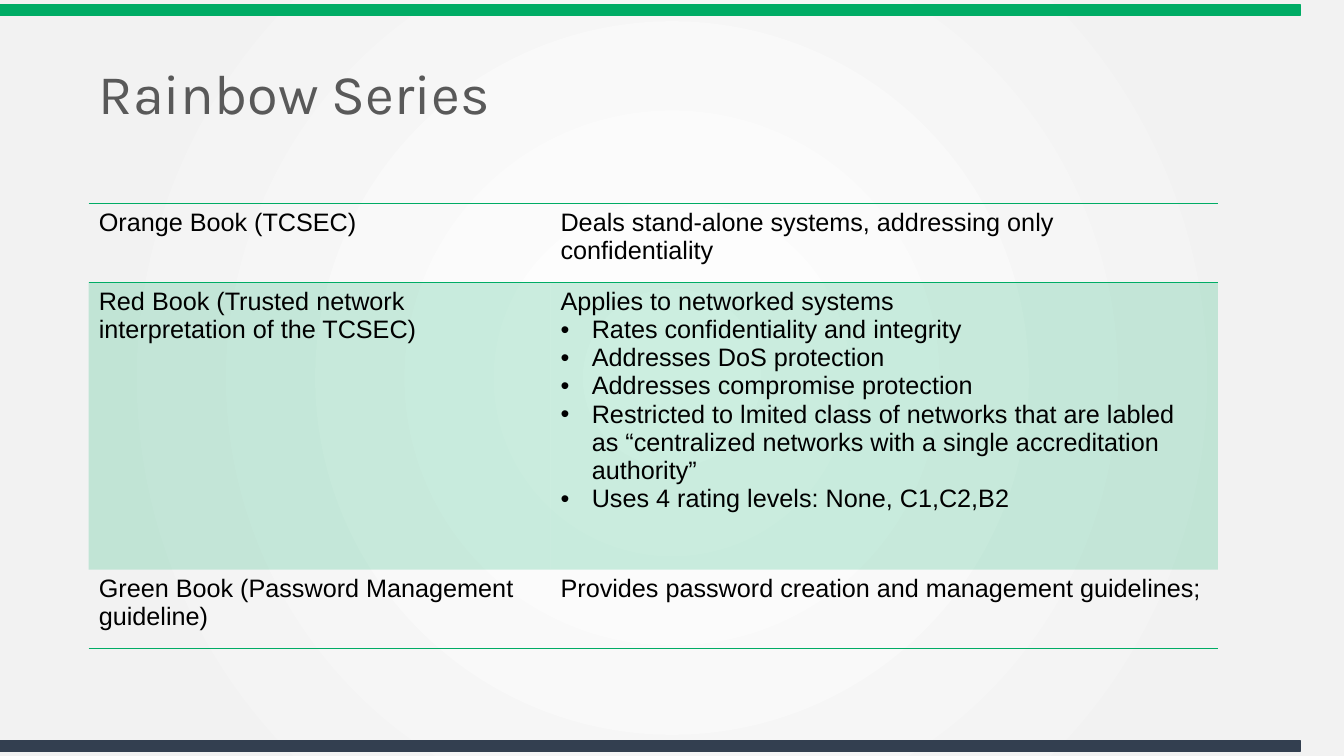
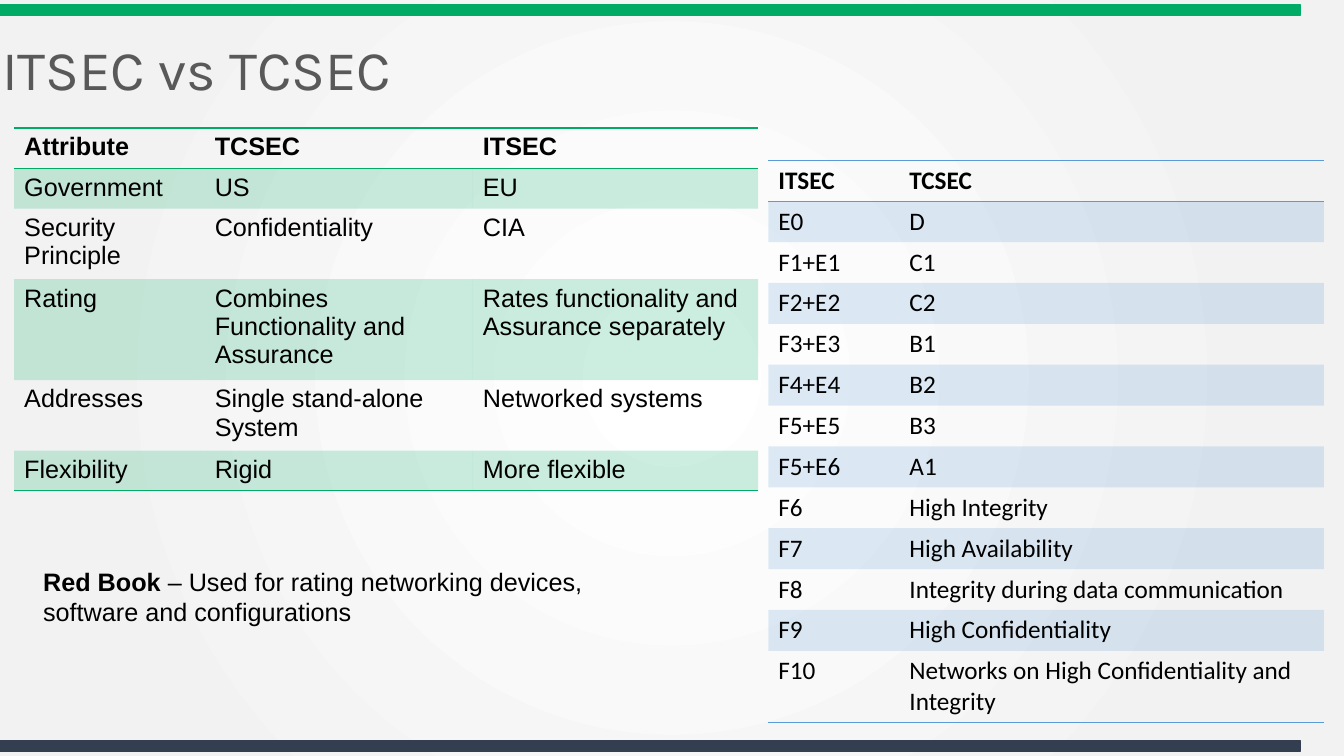
"""Build two slides that compare the Rainbow Series books and the ITSEC and TCSEC ratings."""
from pptx import Presentation
from pptx.dml.color import RGBColor
from pptx.enum.shapes import MSO_SHAPE
from pptx.enum.text import MSO_ANCHOR, PP_ALIGN
from pptx.oxml import parse_xml
from pptx.oxml.ns import nsdecls, qn
from pptx.util import Inches, Pt

GREEN = RGBColor(0x00, 0xAC, 0x65)
BLUE = RGBColor(0x5B, 0x9B, 0xD5)
NAVY = RGBColor(0x33, 0x3F, 0x50)
GRAY = RGBColor(0x59, 0x59, 0x59)
BLACK = RGBColor(0x00, 0x00, 0x00)
WHITE = RGBColor(0xFF, 0xFF, 0xFF)
PALE = RGBColor(0xF2, 0xF2, 0xF2)

SLIDE_WIDTH, SLIDE_HEIGHT = 13.33, 7.5
BAND_WIDTH, BAND_HEIGHT = 12.9, 0.1
BAND_MARGIN = 0.05
TITLE_SIZE = (11.7, 0.8)
BULLET = "\u2022"
BULLET_INDENT = 0.31
PLAIN_TABLE_STYLE = "{2D5ABB26-0587-4C30-8999-92F81FD0307C}"
BACKGROUND_STOPS = ((0, WHITE), (81, PALE), (100, PALE))

BOOKS = [
    ("Orange Book (TCSEC)", "Deals stand-alone systems, addressing only confidentiality"),
    ("Red Book (Trusted network interpretation of the TCSEC)", [
        "Applies to networked systems",
        BULLET + "Rates confidentiality and integrity",
        BULLET + "Addresses DoS protection",
        BULLET + "Addresses compromise protection",
        BULLET + "Restricted to lmited class of networks that are labled as "
                 "\u201ccentralized networks with a single accreditation authority\u201d",
        BULLET + "Uses 4 rating levels: None, C1,C2,B2",
    ]),
    ("Green Book (Password Management guideline)",
     "Provides password creation and management guidelines;"),
]
ATTRIBUTES = [
    ("Attribute", "TCSEC", "ITSEC"),
    ("Government", "US", "EU"),
    ("Security Principle", "Confidentiality", "CIA"),
    ("Rating", "Combines Functionality and Assurance",
     "Rates functionality and Assurance separately"),
    ("Addresses", "Single stand-alone System", "Networked systems"),
    ("Flexibility", "Rigid", "More flexible"),
]
RATINGS = [
    ("ITSEC", "TCSEC"),
    ("E0", "D"),
    ("F1+E1", "C1"),
    ("F2+E2", "C2"),
    ("F3+E3", "B1"),
    ("F4+E4", "B2"),
    ("F5+E5", "B3"),
    ("F5+E6", "A1"),
    ("F6", "High Integrity"),
    ("F7", "High Availability"),
    ("F8", "Integrity during data communication"),
    ("F9", "High Confidentiality"),
    ("F10", "Networks on High Confidentiality and Integrity"),
]
RED_BOOK_NOTE = [("Red Book ", True),
                 ("\u2013 Used for rating networking devices, software and configurations", False)]


def write(paragraph, text, font="Arial", size=18, color=BLACK, bold=False):
    """Add one formatted run, with a hanging bullet if the text starts with one."""
    if text.startswith(BULLET):
        text = text[len(BULLET):]
        properties = paragraph._p.get_or_add_pPr()
        properties.set("marL", str(Inches(BULLET_INDENT)))
        properties.set("indent", str(-Inches(BULLET_INDENT)))
        properties.append(parse_xml(f'<a:buFont {nsdecls("a")} typeface="Arial"/>'))
        properties.append(parse_xml(f'<a:buChar {nsdecls("a")} char="{BULLET}"/>'))
    run = paragraph.add_run()
    run.text = text
    run.font.name = font
    run.font.size = Pt(size)
    run.font.bold = bold
    run.font.color.rgb = color


def set_background(master):
    """Give the master a circular gradient centred on the slide."""
    master.background.fill.gradient()
    gradient = next(master.element.iter(qn("a:gradFill")))
    stops = "".join(f'<a:gs pos="{share * 1000}"><a:srgbClr val="{color}"/></a:gs>'
                    for share, color in BACKGROUND_STOPS)
    gradient.getparent().replace(gradient, parse_xml(
        f'<a:gradFill {nsdecls("a")} rotWithShape="1"><a:gsLst>{stops}</a:gsLst>'
        '<a:path path="circle"><a:fillToRect l="50000" t="50000" r="50000" b="50000"/>'
        '</a:path></a:gradFill>'))


def add_master_band(slide, master, top, color):
    """Draw a band and move it to the back of the master."""
    band = slide.shapes.add_shape(MSO_SHAPE.RECTANGLE, 0, Inches(top),
                                  Inches(BAND_WIDTH), Inches(BAND_HEIGHT))
    band.shadow.inherit = False
    band.fill.solid()
    band.fill.fore_color.rgb = color
    band.line.color.rgb = color
    band.line.width = Pt(1)
    master.shapes.element.insert(2, band.element)


def add_titled_slide(presentation, text, left, top):
    """Add a slide with its title placed and styled."""
    slide = presentation.slides.add_slide(presentation.slide_layouts[5])
    title = slide.shapes.title
    title.left, title.top = Inches(left), Inches(top)
    title.width, title.height = (Inches(length) for length in TITLE_SIZE)
    title.text_frame.vertical_anchor = MSO_ANCHOR.MIDDLE
    paragraph = title.text_frame.paragraphs[0]
    paragraph.alignment = PP_ALIGN.LEFT
    paragraph.line_spacing = 0.9
    write(paragraph, text, font="Karla", size=40, color=GRAY)
    return slide


def add_rule(cell, edge, color):
    """Draw a line along one edge of a cell."""
    cell._tc.get_or_add_tcPr().insert(0, parse_xml(
        f'<a:{edge} {nsdecls("a")} w="{Pt(1)}"><a:solidFill><a:srgbClr val="{color}"/>'
        f'</a:solidFill></a:{edge}>'))


def format_cell(cell, shaded, color):
    """Tint a shaded cell and clear any other."""
    if not shaded:
        cell.fill.background()
        return
    cell.fill.solid()
    cell.fill.fore_color.rgb = color
    tint = next(cell._tc.tcPr.iter(qn("a:srgbClr")))
    tint.append(parse_xml(f'<a:alpha {nsdecls("a")} val="20000"/>'))


def add_ruled_table(slide, rows, left, top, widths, heights, color, font="Arial", header=True):
    """Add a table with tinted odd rows and rules around its first row and at its end."""
    frame = slide.shapes.add_table(len(rows), len(widths), Inches(left), Inches(top),
                                   Inches(sum(widths)), Inches(sum(heights)))
    table = frame.table
    table.first_row = header
    next(frame.element.iter(qn("a:tableStyleId"))).text = PLAIN_TABLE_STYLE
    for column, width in zip(table.columns, widths):
        column.width = Inches(width)
    for row_index, (values, height) in enumerate(zip(rows, heights)):
        table.rows[row_index].height = Inches(height)
        for column_index, value in enumerate(values):
            cell = table.cell(row_index, column_index)
            format_cell(cell, row_index % 2 == 1, color)
            if row_index in (0, len(rows) - 1):
                add_rule(cell, "lnB", color)
            if row_index == 0:
                add_rule(cell, "lnT", color)
            lines = [value] if isinstance(value, str) else value
            for line_index, line in enumerate(lines):
                text_frame = cell.text_frame
                paragraph = text_frame.add_paragraph() if line_index else text_frame.paragraphs[0]
                write(paragraph, line, font=font, bold=header and row_index == 0)


def main():
    """Build and save the presentation."""
    presentation = Presentation()
    presentation.slide_width = Inches(SLIDE_WIDTH)
    presentation.slide_height = Inches(SLIDE_HEIGHT)
    master = presentation.slide_master
    set_background(master)

    rainbow = add_titled_slide(presentation, "Rainbow Series", 0.88, 0.56)
    add_master_band(rainbow, master, BAND_MARGIN, GREEN)
    add_master_band(rainbow, master, SLIDE_HEIGHT - BAND_MARGIN - BAND_HEIGHT, NAVY)
    add_ruled_table(rainbow, BOOKS, 0.88, 2.02, (4.58, 6.62), (0.78, 2.85, 0.78), GREEN,
                    header=False)

    comparison = add_titled_slide(presentation, "ITSEC vs TCSEC", -0.08, 0.32)
    add_ruled_table(comparison, ATTRIBUTES, 0.14, 1.27, (1.89, 2.66, 2.83),
                    (0.4, 0.4, 0.7, 1, 0.7, 0.4), GREEN)
    add_ruled_table(comparison, RATINGS, 7.62, 1.59, (1.3, 4.21),
                    [0.4] * (len(RATINGS) - 1) + [0.7], BLUE, font="Calibri")
    note = comparison.shapes.add_textbox(Inches(0.33), Inches(5.57), Inches(6.23), Inches(0.71))
    note.text_frame.word_wrap = True
    for text, bold in RED_BOOK_NOTE:
        write(note.text_frame.paragraphs[0], text, bold=bold)

    presentation.save("out.pptx")


main()
